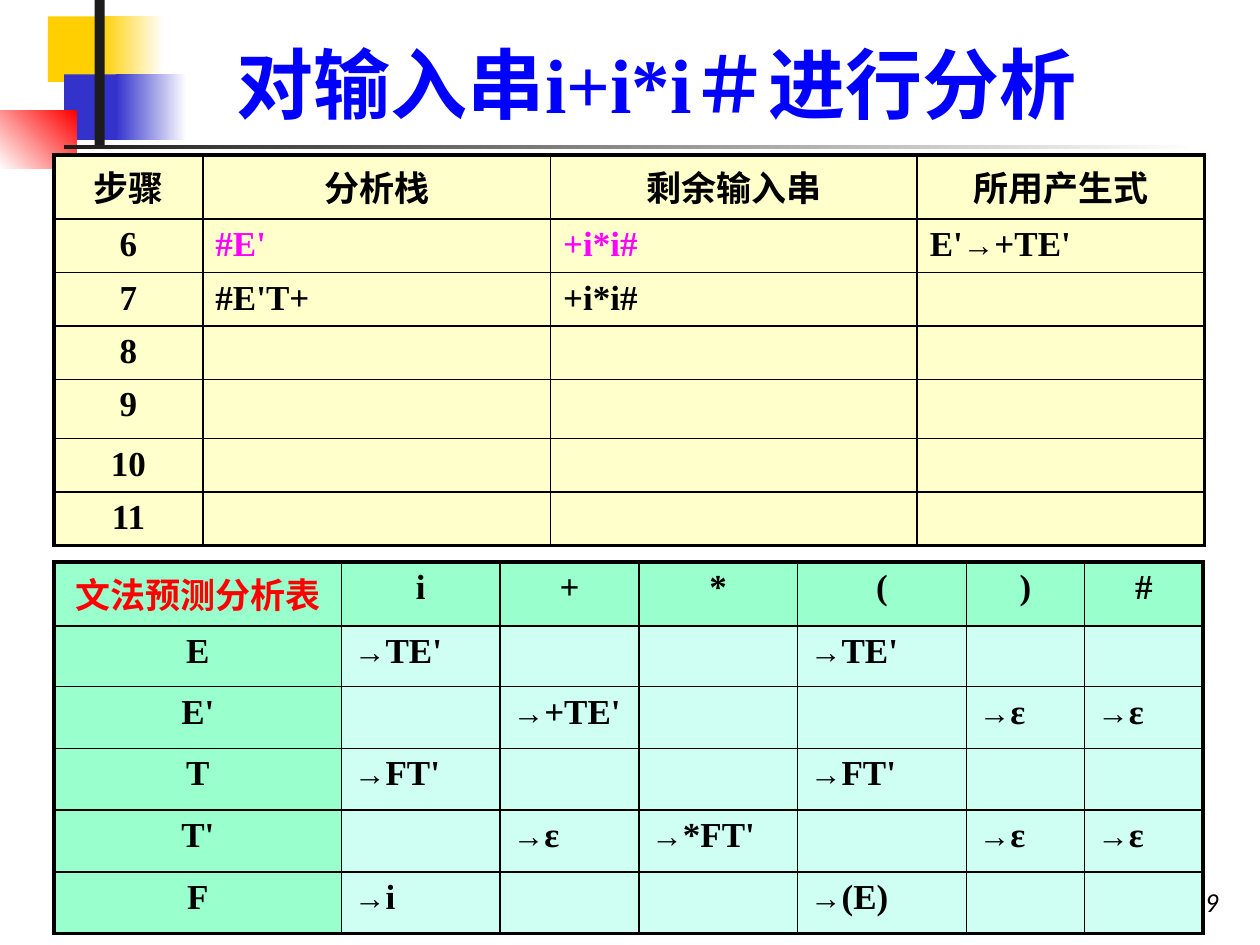
from lxml.etree import SubElement
from pptx import Presentation
from pptx.dml.color import RGBColor
from pptx.enum.shapes import MSO_SHAPE
from pptx.enum.text import MSO_ANCHOR, PP_ALIGN
from pptx.oxml.ns import qn
from pptx.util import Inches, Pt

BLACK = RGBColor(0, 0, 0)
WHITE = RGBColor(255, 255, 255)
DARK = RGBColor(0x1C, 0x1C, 0x1C)
GOLD = RGBColor(0xFF, 0xCF, 0x01)
INDIGO = RGBColor(0x33, 0x33, 0xCC)
BLUE = RGBColor(0, 0, 255)
RED = RGBColor(255, 0, 0)
PINK = RGBColor(255, 0, 255)
CREAM = RGBColor(0xFF, 0xFF, 0xCC)
GREEN = RGBColor(0x99, 0xFF, 0xCC)
MINT = RGBColor(0xCF, 0xFF, 0xF2)
SERIF = "Times New Roman"


def add_run(para, text, size, color, face=SERIF, bold=True):
    run = para.add_run()
    run.text = text
    font = run.font
    font.name, font.size, font.bold = face, Pt(size), bold
    font.color.rgb = color
    return run


def add_grid(slide, top, widths, heights, data, head, body, tints):
    rows, cols = len(heights), len(widths)
    frame = slide.shapes.add_table(rows, cols, Inches(0.43), Inches(top),
                                   Inches(sum(widths)), Inches(sum(heights)))
    table = frame.table
    table.first_row = table.horz_banding = False
    for col, width in zip(table.columns, widths):
        col.width = Inches(width)
    for row, height in zip(table.rows, heights):
        row.height = Inches(height)
    for r, line in enumerate(data):
        for c, text in enumerate(line):
            cell = table.cell(r, c)
            cell.margin_left = cell.margin_right = Inches(0.1)
            cell.margin_top, cell.margin_bottom = Inches(0.05), Inches(0.04)
            cell.vertical_anchor = MSO_ANCHOR.TOP
            props = cell._tc.get_or_add_tcPr()
            edges = {"L": c == 0, "R": c == cols - 1,
                     "T": r == 0, "B": r == rows - 1}
            for side, outer in edges.items():
                line_xml = SubElement(props, qn("a:ln" + side),
                                      w=str(Pt(2.25 if outer else 1)))
                fill = SubElement(line_xml, qn("a:solidFill"))
                SubElement(fill, qn("a:srgbClr"), val=str(BLACK))
            label = r == 0 or c == 0
            cell.fill.solid()
            cell.fill.fore_color.rgb = head if label else body
            para = cell.text_frame.paragraphs[0]
            para.alignment = PP_ALIGN.CENTER if label else PP_ALIGN.LEFT
            color = tints.get((r, c), BLACK)
            for part in text.partition("→"):
                if part:
                    add_run(para, part, 18 if part == "→" else 20, color)


prs = Presentation()
prs.slide_width, prs.slide_height = Inches(10), Inches(7.5)
slide = prs.slides.add_slide(prs.slide_layouts[5])

blocks = [
    (0.38, 0.13, 0.67, 0.52, GOLD, None, 0),
    (0.8, 0.13, 0.5, 0.52, GOLD, WHITE, 0),
    (0.51, 0.59, 0.64, 0.52, INDIGO, None, 0),
    (0.92, 0.59, 0.56, 0.52, INDIGO, WHITE, 0),
    (0, 0.88, 0.61, 0.46, WHITE, RED, 45),
    (0.75, 0, 0.08, 1.15, DARK, None, 0),
    (0.51, 1.15, 9, 0.03, DARK, WHITE, 0),
]
for left, top, width, height, start, end, angle in blocks:
    block = slide.shapes.add_shape(MSO_SHAPE.RECTANGLE, Inches(left), Inches(top),
                                   Inches(width), Inches(height))
    block.shadow.inherit = False
    block.line.fill.background()
    if end is None:
        block.fill.solid()
        block.fill.fore_color.rgb = start
    else:
        block.fill.gradient()
        block.fill.gradient_angle = angle
        for stop, color in zip(block.fill.gradient_stops, (start, end)):
            stop.color.rgb = color

number = slide.shapes.add_textbox(Inches(7.7), Inches(6.83), Inches(2.08), Inches(0.5))
number.text_frame.word_wrap = True
number.text_frame.vertical_anchor = MSO_ANCHOR.BOTTOM
para = number.text_frame.paragraphs[0]
para.alignment = PP_ALIGN.RIGHT
add_run(para, "49", 14, BLACK, "Lato", False).font.italic = True

title = slide.shapes.title
title.left, title.top = Inches(1.26), Inches(0.23)
title.width, title.height = Inches(7.91), Inches(0.84)
title.text_frame.vertical_anchor = MSO_ANCHOR.BOTTOM
para = title.text_frame.paragraphs[0]
para.alignment = PP_ALIGN.CENTER
add_run(para, "对输入串i+i*i＃进行分析", 44, BLUE)

rules = [
    ["文法预测分析表", "i", "+", "*", "(", ")", "#"],
    ["E", "→TE'", "", "", "→TE'", "", ""],
    ["E'", "", "→+TE'", "", "", "→ε", "→ε"],
    ["T", "→FT'", "", "", "→FT'", "", ""],
    ["T'", "", "→ε", "→*FT'", "", "→ε", "→ε"],
    ["F", "→i", "", "", "→(E)", "", ""],
]
add_grid(slide, 4.46, [2.28, 1.26, 1.1, 1.26, 1.34, 0.94, 0.94],
         [0.51, 0.48] + [0.49] * 4, rules, GREEN, MINT, {(0, 0): RED})

steps = [
    ["步骤", "分析栈", "剩余输入串", "所用产生式"],
    ["6", "#E'", "+i*i#", "E'→+TE'"],
    ["7", "#E'T+", "+i*i#", ""],
]
steps += [[str(n), "", "", ""] for n in range(8, 12)]
add_grid(slide, 1.23, [1.18, 2.76, 2.91, 2.28],
         [0.51, 0.41, 0.41, 0.41, 0.47, 0.41, 0.41], steps, CREAM, CREAM,
         {(1, 1): PINK, (1, 2): PINK})

prs.save("out.pptx")
